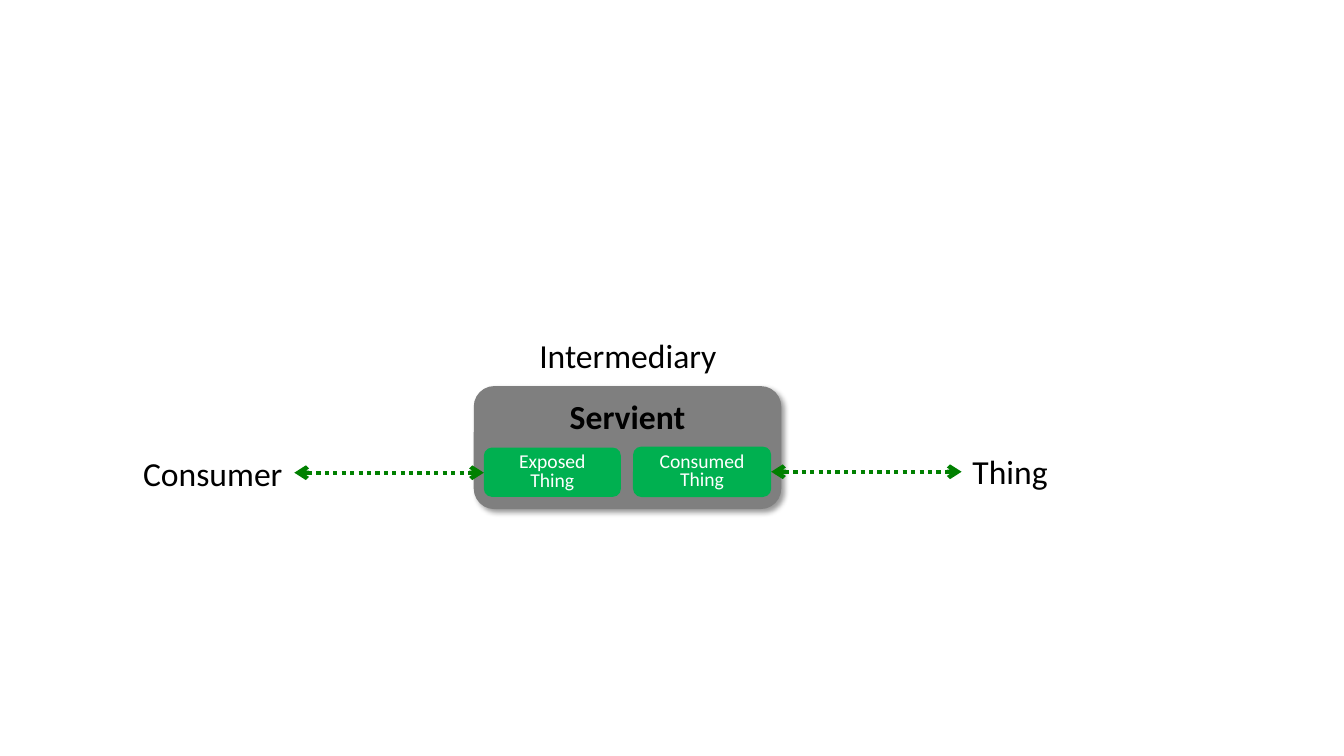
import pptx
import pptx.util
import pptx.dml.color
import pptx.enum.dml
import pptx.enum.shapes
import pptx.enum.text
import pptx.oxml
import pptx.oxml.ns
import lxml.etree

COLORS = {
    "label": "000000",
    "servient": "7F7F7F",
    "thing": "00B050",
    "thing_text": "FFFFFF",
    "link": "008000",
}

deck = pptx.Presentation()
deck.slide_width = pptx.util.Inches(13.33)
deck.slide_height = pptx.util.Inches(7.5)
slide = deck.slides.add_slide(deck.slide_layouts[6])
column = deck.slide_width / 100
row = deck.slide_height / 100


def grid(left, top, width, height):
    return [round(left * column), round(top * row), round(width * column), round(height * row)]


def write(frame, lines, size, color, bold=False, spacing=None):
    for index, line in enumerate(lines):
        paragraph = frame.paragraphs[0] if index == 0 else frame.add_paragraph()
        paragraph.alignment = pptx.enum.text.PP_ALIGN.CENTER
        paragraph.line_spacing = spacing
        run = paragraph.add_run()
        run.text = line
        run.font.name = "Calibri"
        run.font.size = pptx.util.Pt(size)
        run.font.bold = bold
        run.font.color.rgb = pptx.dml.color.RGBColor.from_string(COLORS[color])


boxes = [
    (["Servient"], "servient", (35.25, 51.07, 22.88, 16.27)),
    (["Exposed", "Thing"], "thing", (36, 59.2, 10.2, 6.53)),
    (["Consumed", "Thing"], "thing", (47.1, 59.07, 10.28, 6.67)),
]
for lines, role, cells in boxes:
    box = slide.shapes.add_shape(pptx.enum.shapes.MSO_SHAPE.ROUNDED_RECTANGLE, *grid(*cells))
    box.shadow.inherit = False
    box.fill.solid()
    box.fill.fore_color.rgb = pptx.dml.color.RGBColor.from_string(COLORS[role])
    box.line.fill.background()
    frame = box.text_frame
    if role == "servient":
        frame.vertical_anchor = pptx.enum.text.MSO_ANCHOR.TOP
        frame.margin_left = frame.margin_right = pptx.util.Inches(0.08)
        frame.margin_top = frame.margin_bottom = pptx.util.Inches(0.04)
        write(frame, lines, 24, "label", bold=True)
        effects = box._element.spPr.find(pptx.oxml.ns.qn("a:effectLst"))
        effects.append(pptx.oxml.parse_xml(
            f'<a:outerShdw {pptx.oxml.ns.nsdecls("a")} blurRad="{pptx.util.Pt(4)}" '
            f'dist="{pptx.util.Pt(3)}" dir="2700000" algn="tl" rotWithShape="0">'
            '<a:srgbClr val="000000"><a:alpha val="40000"/></a:srgbClr></a:outerShdw>'))
    else:
        frame.vertical_anchor = pptx.enum.text.MSO_ANCHOR.MIDDLE
        frame.word_wrap = lines[0] == "Exposed"
        write(frame, lines, 14, "thing_text", spacing=0.8)

labels = [
    ("Intermediary", (39.3, 43.6, 14.85, 6.67)),
    ("Thing", (71.55, 58.93, 7.2, 6.67)),
    ("Consumer", (9.83, 59.2, 12, 6.67)),
]
for name, cells in labels:
    frame = slide.shapes.add_textbox(*grid(*cells)).text_frame
    frame.word_wrap = False
    frame.auto_size = pptx.enum.text.MSO_AUTO_SIZE.SHAPE_TO_FIT_TEXT
    write(frame, [name], 24, "label")

for start, end, level in [(57.38, 71.55, 62.4), (21.9, 36, 62.53)]:
    left, top, width, height = grid(start, level, end - start, 0)
    link = slide.shapes.add_connector(
        pptx.enum.shapes.MSO_CONNECTOR.STRAIGHT, left, top, left + width, top)
    link.line.color.rgb = pptx.dml.color.RGBColor.from_string(COLORS["link"])
    link.line.width = pptx.util.Pt(3)
    link.line.dash_style = pptx.enum.dml.MSO_LINE.ROUND_DOT
    stroke = link.line._get_or_add_ln()
    stroke.find(pptx.oxml.ns.qn("a:prstDash")).set("val", "sysDot")
    for tip in ("a:headEnd", "a:tailEnd"):
        lxml.etree.SubElement(stroke, pptx.oxml.ns.qn(tip)).set("type", "arrow")
    lxml.etree.SubElement(link._element.spPr, pptx.oxml.ns.qn("a:effectLst"))

deck.save("out.pptx")
